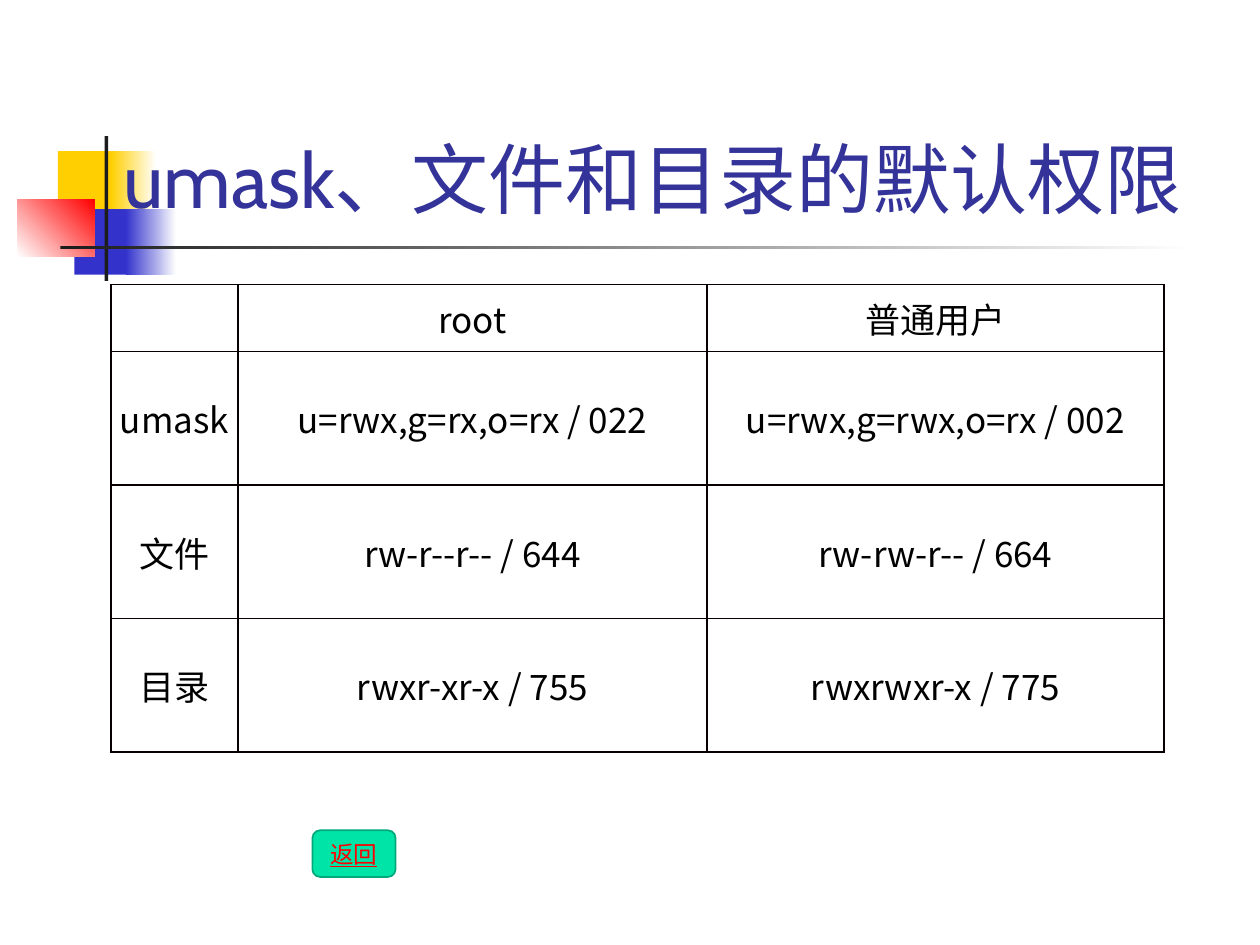
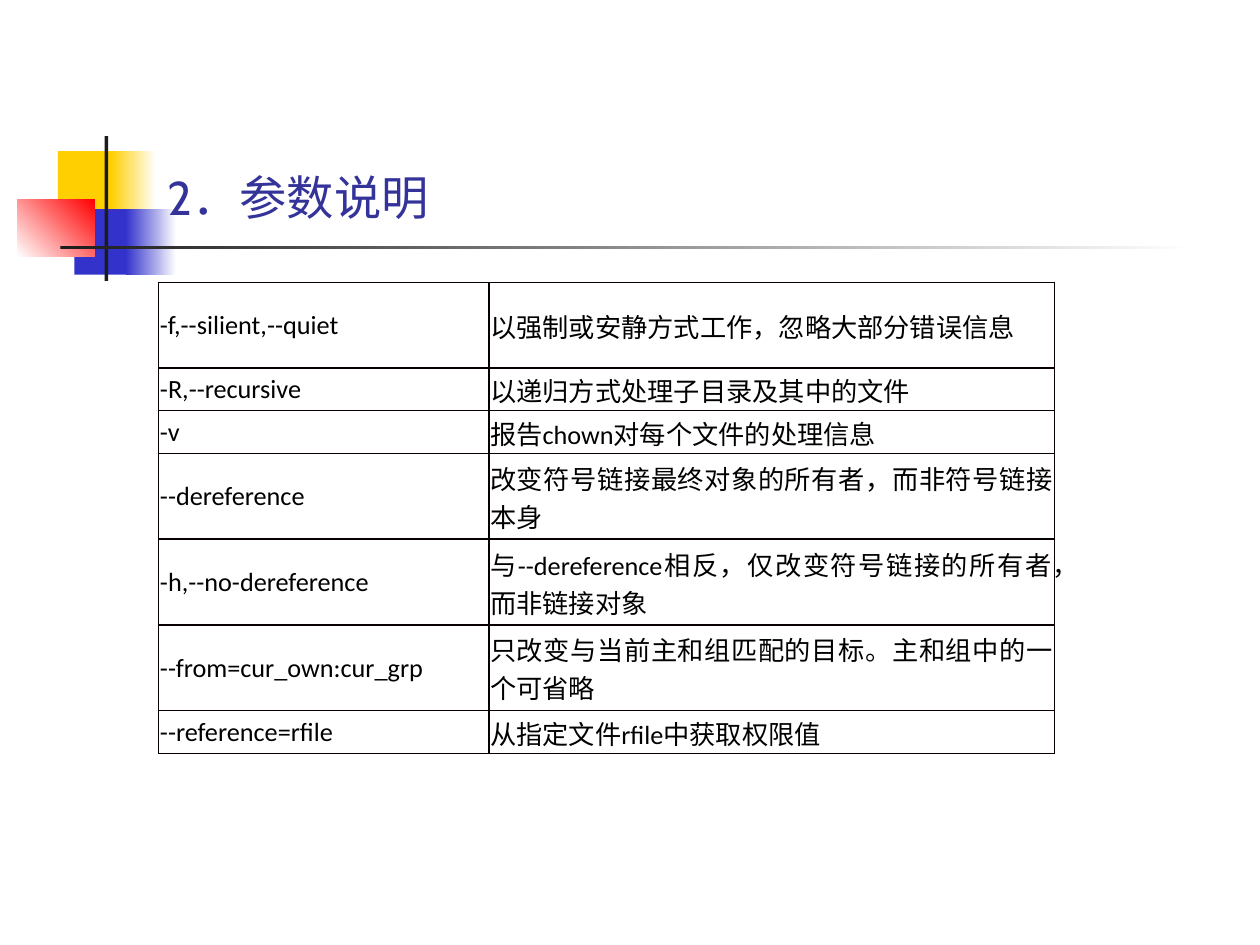
from lxml import etree
from pptx import Presentation
from pptx.dml.color import RGBColor
from pptx.enum import shapes, text
from pptx.oxml import ns
from pptx.util import Inches, Pt

WHITE = RGBColor(0xFF, 0xFF, 0xFF)
BLACK = RGBColor(0x00, 0x00, 0x00)
YELLOW = RGBColor(0xFF, 0xCF, 0x01)
BLUE = RGBColor(0x33, 0x33, 0xCC)
RED = RGBColor(0xFF, 0x00, 0x00)
CHARCOAL = RGBColor(0x1C, 0x1C, 0x1C)
TITLE_BLUE = RGBColor(0x33, 0x33, 0x99)
GREEN = RGBColor(0x00, 0xE4, 0xA8)
DARK_GREEN = RGBColor(0x00, 0xA9, 0x7C)
BORDER = "080000"

HEAD_FONT = "Cabin"
LIST_FONT = "Calibri"
GRID_FONT = "Noto Sans CJK SC"

# Corner ornament: box, first colour, end colour (None = solid), angle
ORNAMENT = [
    ((0.46, 1.2, 0.48, 0.52), YELLOW, None, 0),
    ((0.88, 1.2, 0.36, 0.52), YELLOW, WHITE, 0),
    ((0.59, 1.66, 0.46, 0.52), BLUE, None, 0),
    ((1, 1.66, 0.4, 0.52), BLUE, WHITE, 0),
    ((0.14, 1.58, 0.61, 0.46), WHITE, RED, 45),
    ((0.83, 1.08, 0.03, 1.15), CHARCOAL, None, 0),
    ((0.48, 1.95, 9, 0.03), CHARCOAL, WHITE, 0),
]

PERMISSIONS = [
    ("", "root", "普通用户"),
    ("umask", "u=rwx,g=rx,o=rx / 022", "u=rwx,g=rwx,o=rx / 002"),
    ("文件", "rw-r--r-- / 644", "rw-rw-r-- / 664"),
    ("目录", "rwxr-xr-x / 755", "rwxrwxr-x / 775"),
]

OPTIONS = [
    ("-f,--silient,--quiet", "以强制或安静方式工作，忽略大部分错误信息"),
    ("-R,--recursive", "以递归方式处理子目录及其中的文件"),
    ("-v", "报告chown对每个文件的处理信息"),
    ("--dereference", "改变符号链接最终对象的所有者，而非符号链接本身"),
    ("-h,--no-dereference", "与--dereference相反，仅改变符号链接的所有者，而非链接对象"),
    ("--from=cur_own:cur_grp", "只改变与当前主和组匹配的目标。主和组中的一个可省略"),
    ("--reference=rfile", "从指定文件rfile中获取权限值"),
]


def inches(box):
    return [Inches(value) for value in box]


def style(para, name, size, colour, align):
    para.alignment = align
    para.font.name = name
    para.font.size = Pt(size)
    para.font.color.rgb = colour


def set_margins(target, margins):
    (target.margin_left, target.margin_top,
     target.margin_right, target.margin_bottom) = inches(margins)


def add_ornament(page):
    """Draw the ornament and hand it to the layout, behind its title."""
    layout_title = page.slide_layout.placeholders[0].element
    for box, start, end, angle in ORNAMENT:
        block = page.shapes.add_shape(shapes.MSO_SHAPE.RECTANGLE, *inches(box))
        block.shadow.inherit = False
        block.line.fill.background()
        if end is None:
            block.fill.solid()
            block.fill.fore_color.rgb = start
        else:
            block.fill.gradient()
            block.fill.gradient_angle = angle
            for stop, colour in zip(block.fill.gradient_stops, (start, end)):
                stop.color.rgb = colour
        layout_title.addprevious(block.element)


def add_title(page, box, words, size, margins=(0.1, 0.05, 0.1, 0.05)):
    title = page.shapes.title
    title.left, title.top, title.width, title.height = inches(box)
    frame = title.text_frame
    frame.text = words
    frame.word_wrap = True
    frame.auto_size = text.MSO_AUTO_SIZE.NONE
    frame.vertical_anchor = text.MSO_ANCHOR.BOTTOM
    set_margins(frame, margins)
    style(frame.paragraphs[0], HEAD_FONT, size, TITLE_BLUE, text.PP_ALIGN.LEFT)


def add_borders(cell):
    properties = cell._tc.get_or_add_tcPr()
    for side in ("a:lnL", "a:lnR", "a:lnT", "a:lnB"):
        line = etree.SubElement(properties, ns.qn(side), w=str(Pt(1)))
        fill = etree.SubElement(line, ns.qn("a:solidFill"))
        etree.SubElement(fill, ns.qn("a:srgbClr"), val=BORDER)


def add_grid(page, corner, widths, heights, rows, margins, font, size, align):
    box = (*corner, sum(widths), sum(heights))
    table = page.shapes.add_table(len(rows), len(widths), *inches(box)).table
    table.first_row = table.horz_banding = False
    for column, width in zip(table.columns, widths):
        column.width = Inches(width)
    for row, height, words in zip(table.rows, heights, rows):
        row.height = Inches(height)
        for cell, label in zip(row.cells, words):
            cell.text = label
            cell.vertical_anchor = text.MSO_ANCHOR.MIDDLE
            set_margins(cell, margins)
            add_borders(cell)
            cell.fill.background()
            style(cell.text_frame.paragraphs[0], font, size, BLACK, align)


def add_back_button(page, box):
    button = page.shapes.add_shape(shapes.MSO_SHAPE.ROUNDED_RECTANGLE, *inches(box))
    button.shadow.inherit = False
    button.fill.solid()
    button.fill.fore_color.rgb = GREEN
    button.line.color.rgb = DARK_GREEN
    button.line.width = Pt(1)
    frame = button.text_frame
    frame.text = "返回"
    frame.vertical_anchor = text.MSO_ANCHOR.MIDDLE
    para = frame.paragraphs[0]
    style(para, HEAD_FONT, 13.5, RED, text.PP_ALIGN.CENTER)
    para.font.underline = True


def permissions_page(page):
    add_title(page, (0.88, 0.23, 8.91, 1.6), "umask、文件和目录的默认权限", 44)
    add_grid(page, (0.88, 2.26), (1.01, 3.72, 3.63), (0.53, 1.06, 1.06, 1.06),
             PERMISSIONS, (0, 0, 0, 0), GRID_FONT, 20, text.PP_ALIGN.CENTER)
    add_back_button(page, (2.48, 6.59, 0.66, 0.37))


def options_page(page):
    add_title(page, (1.26, 0.23, 8.52, 1.6), "2．参数说明", 27,
              (0.07, 0.04, 0.07, 0.04))
    single, double = 0.34, 0.68
    heights = (double, single, single, double, double, double, single)
    add_grid(page, (1.26, 2.24), (2.62, 4.49), heights, OPTIONS,
             (0.01, 0.01, 0.01, 0), LIST_FONT, 15, text.PP_ALIGN.JUSTIFY)


def main():
    deck = Presentation()
    deck.slide_width, deck.slide_height = Inches(10), Inches(7.5)
    title_only = deck.slide_layouts[5]
    pages = [deck.slides.add_slide(title_only) for _ in range(2)]
    add_ornament(pages[0])
    permissions_page(pages[0])
    options_page(pages[1])
    deck.save("out.pptx")


if __name__ == "__main__":
    main()
